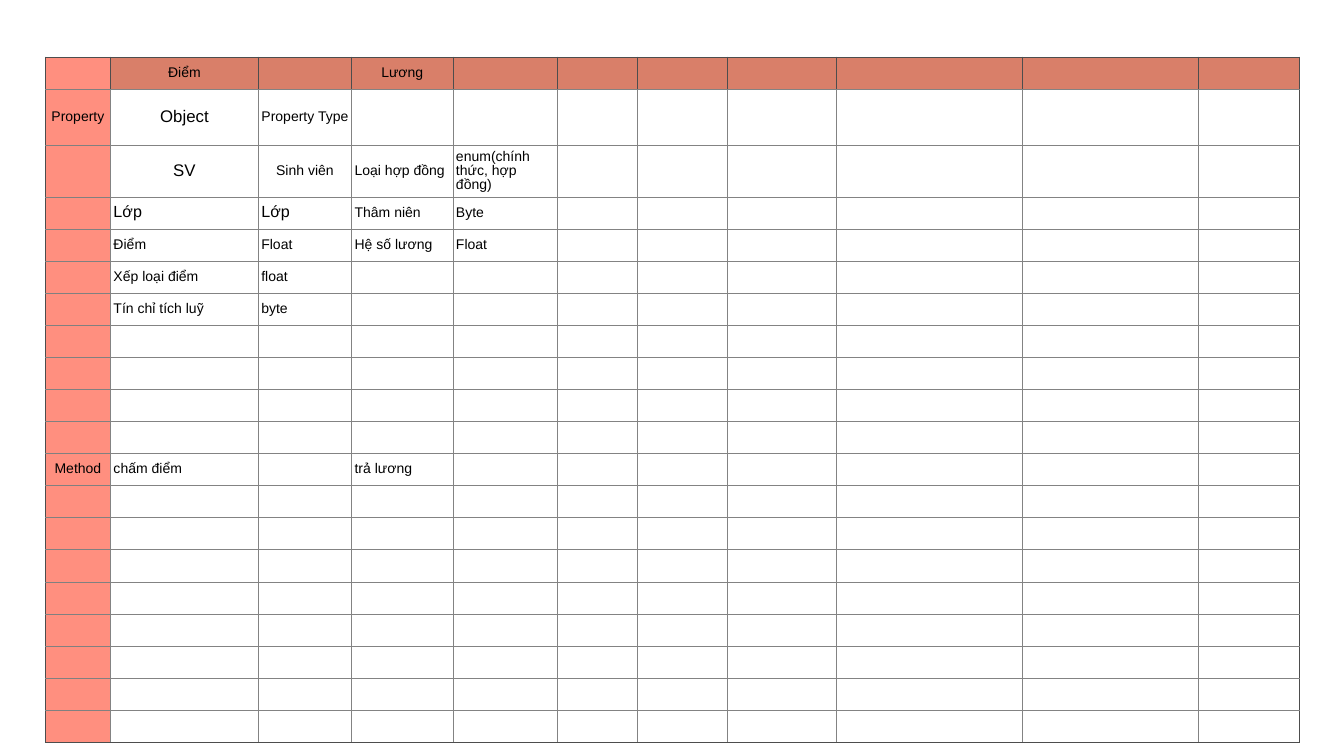
from dataclasses import dataclass

from lxml import etree
from pptx import Presentation
from pptx.dml.color import RGBColor
from pptx.enum.text import MSO_ANCHOR, PP_ALIGN
from pptx.oxml.ns import qn
from pptx.util import Pt

MIDDLE = MSO_ANCHOR.MIDDLE
CENTER, LEFT = PP_ALIGN.CENTER, PP_ALIGN.LEFT
BLANK_LAYOUT = 6


@dataclass(frozen=True)
class Theme:
    font: str = "Arial"
    body_size: int = 20
    class_size: int = 23
    object_size: int = 24
    text: str = "000000"
    header_fill: str = "D97F69"
    label_fill: str = "FF8F7F"
    outer_line: str = "4D4D4D"
    label_line: str = "808080"
    grid_line: str = "838383"
    line_width: int = 1


THEME = Theme()

SLIDE_SIZE = (1920, 1080)
TABLE_BOX = (64.8, 81.4, 1791.4, 977.4)
COLUMN_WIDTHS = (93, 211, 133.2, 144.7, 149, 113.8, 128.9, 156.2, 265, 251.3, 144)
ROW_COUNT = 20
ROW_HEIGHT = 45.86
TALL_ROWS = {1: 80, 2: 74}
CELL_MARGIN = 4.3

# Text of the filled rows, keyed by row number, from the first column on
ROW_TEXTS = {
    0: ("", "Điểm", "", "Lương"),
    1: ("Property", "Object", "Property Type"),
    2: ("", "SV", "Sinh viên", "Loại hợp đồng", "enum(chính thức, hợp đồng)"),
    3: ("", "Lớp", "Lớp", "Thâm niên", "Byte"),
    4: ("", "Điểm", "Float", "Hệ số lương", "Float"),
    5: ("", "Xếp loại điểm", "float"),
    6: ("", "Tín chỉ tích luỹ", "byte"),
    11: ("Method", "chấm điểm", "", "trả lương"),
}
SPECIAL_SIZES = {
    (1, 1): THEME.object_size,
    (2, 1): THEME.object_size,
    (3, 1): THEME.class_size,
    (3, 2): THEME.class_size,
}
CENTERED_CELLS = {(1, 1), (1, 2), (2, 1), (2, 2)}
NARROW_MARGINS = {(1, 2): 3}  # keeps "Property Type" on one line


def border_colors(row, column):
    """Colours of the left, right, top and bottom sides of a cell."""
    if row == 0:
        return [THEME.outer_line] * 4
    inner = THEME.label_line if column == 0 else THEME.grid_line
    at_edge = (column == 0, column == len(COLUMN_WIDTHS) - 1,
               False, row == ROW_COUNT - 1)
    return [THEME.outer_line if edge else inner for edge in at_edge]


def set_borders(cell, colors):
    properties = cell._tc.get_or_add_tcPr()
    # Border lines must come before the fill
    for index, (side, color) in enumerate(zip(("lnL", "lnR", "lnT", "lnB"), colors)):
        line = etree.Element(qn(f"a:{side}"), w=str(Pt(THEME.line_width)))
        fill = etree.SubElement(line, qn("a:solidFill"))
        etree.SubElement(fill, qn("a:srgbClr"), val=color)
        properties.insert(index, line)


def set_fill(cell, row, column):
    if column == 0 or row == 0:
        cell.fill.solid()
        color = THEME.label_fill if column == 0 else THEME.header_fill
        cell.fill.fore_color.rgb = RGBColor.from_string(color)
    else:
        cell.fill.background()


def set_text(cell, row, column, text):
    position = (row, column)
    cell.vertical_anchor = MIDDLE
    cell.margin_top = cell.margin_bottom = Pt(CELL_MARGIN)
    cell.margin_left = cell.margin_right = Pt(NARROW_MARGINS.get(position, CELL_MARGIN))
    paragraph = cell.text_frame.paragraphs[0]
    paragraph.text = text
    centered = row == 0 or column == 0 or position in CENTERED_CELLS
    paragraph.alignment = CENTER if centered else LEFT
    paragraph.line_spacing = 0.9
    font = paragraph.font
    font.name = THEME.font
    font.size = Pt(SPECIAL_SIZES.get(position, THEME.body_size))
    font.color.rgb = RGBColor.from_string(THEME.text)


def add_class_table(slide, box):
    """Table of objects with their properties and methods."""
    table = slide.shapes.add_table(
        ROW_COUNT, len(COLUMN_WIDTHS), *(Pt(length) for length in box)).table
    table.first_row = table.horz_banding = False

    # Grid
    scale = box[2] / sum(COLUMN_WIDTHS)
    for column, width in zip(table.columns, COLUMN_WIDTHS):
        column.width = Pt(width * scale)
    for number, row in enumerate(table.rows):
        row.height = Pt(TALL_ROWS.get(number, ROW_HEIGHT))

    # Cells
    for row in range(ROW_COUNT):
        texts = ROW_TEXTS.get(row, ())
        for column in range(len(COLUMN_WIDTHS)):
            cell = table.cell(row, column)
            set_fill(cell, row, column)
            set_borders(cell, border_colors(row, column))
            if column < len(texts) and texts[column]:
                set_text(cell, row, column, texts[column])


def main():
    presentation = Presentation()
    presentation.slide_width, presentation.slide_height = map(Pt, SLIDE_SIZE)
    slide = presentation.slides.add_slide(presentation.slide_layouts[BLANK_LAYOUT])
    add_class_table(slide, TABLE_BOX)
    presentation.save("out.pptx")


if __name__ == "__main__":
    main()
